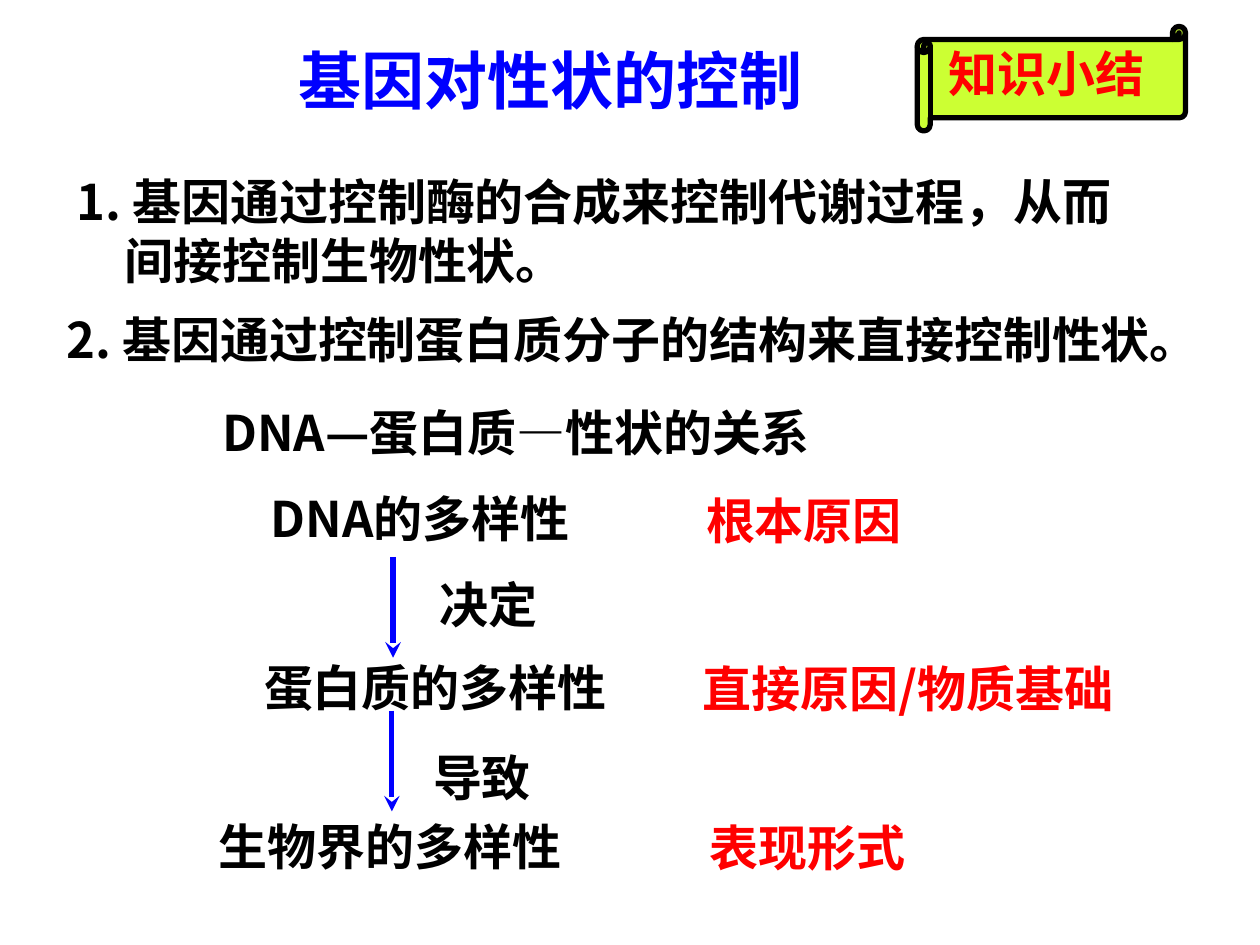
from dataclasses import dataclass
from lxml import etree
from pptx import Presentation
from pptx import util as u
from pptx.dml.color import RGBColor
from pptx.enum import shapes, text
from pptx.oxml.ns import qn


@dataclass(frozen=True)
class Theme:
    face: str = "Noto Sans CJK SC"
    ink: str = "000000"
    blue: str = "0000FF"
    red: str = "FF0000"
    lime: str = "CCFF33"
    head: int = 36
    body: int = 28
    rule: int = 3


theme = Theme()
deck = Presentation()
deck.slide_width, deck.slide_height = u.Inches(10), u.Inches(7.5)
COL = deck.slide_width / 100
ROW = deck.slide_height / 75


def paint(tone):
    return RGBColor.from_string(tone)


def place(box, x, y, w, h):
    left, top = box[:2]
    return [int(v) for v in ((left + x) * COL, (top + y) * ROW, w * COL, h * ROW)]


def write(host, spot, words, tone=theme.ink, size=theme.body, mid=True, hang=0):
    label = host.add_textbox(*spot)
    frame = label.text_frame
    frame.word_wrap = True
    para = frame.paragraphs[0]
    para.text = words
    para.alignment = text.PP_ALIGN.CENTER if mid else text.PP_ALIGN.LEFT
    if hang:
        props = para._p.get_or_add_pPr()
        props.set("marL", str(int(hang * COL)))
        props.set("indent", str(int(-hang * COL)))
    font = para.font
    font.name, font.size, font.bold = theme.face, u.Pt(size), True
    font.color.rgb = paint(tone)
    latin = para._p.pPr.find(qn("a:defRPr")).find(qn("a:latin"))
    east = etree.Element(qn("a:ea"), typeface=theme.face)
    latin.addnext(east)
    return frame


def arrow(host, box, x, y, drop):
    left, top, _, high = place(box, x, y, 0, drop)
    line = host.add_connector(shapes.MSO_CONNECTOR.STRAIGHT, left, top, left, top + high)
    line.line.color.rgb = paint(theme.blue)
    line.line.width = u.Pt(theme.rule)
    etree.SubElement(line.line._get_or_add_ln(), qn("a:tailEnd"), type="stealth")
    etree.SubElement(line._element.spPr, qn("a:effectLst"))


def title(host, box):
    write(host, place(box, 0, 0, *box[2:]), "基因对性状的控制", theme.blue, theme.head)


def banner(host, box):
    group = host.add_group_shape().shapes
    roll = group.add_shape(
        shapes.MSO_SHAPE.HORIZONTAL_SCROLL, *place(box, 0, 0, *box[2:]))
    roll.shadow.inherit = False
    roll.adjustments[0] = 0.125
    roll.fill.solid()
    roll.fill.fore_color.rgb = paint(theme.lime)
    roll.line.color.rgb = paint(theme.ink)
    roll.line.width = u.Pt(theme.rule)
    write(group, place(box, 1.5, 0.9, 22.7, 5.7), "知识小结", theme.red, mid=False)


def points(host, box):
    write(host, place(box, 0.8, 0, 86.6, 10.4),
          "1. 基因通过控制酶的合成来控制代谢过程，从而间接控制生物性状。",
          mid=False, hang=3.8)
    write(host, place(box, 0, 11, 91.4, 10.4),
          "2. 基因通过控制蛋白质分子的结构来直接控制性状。", mid=False)


def chain(host, box):
    frame = write(host, place(box, 0.8, 0, 55.9, 6.1), "DNA—蛋白质—性状的关系")
    frame.vertical_anchor = text.MSO_ANCHOR.MIDDLE
    stages = [
        (2.4, 7.1, "DNA的多样性", 39.5, 24.2, "根本原因"),
        (3.6, 20.5, "蛋白质的多样性", 38.6, 42.5, "直接原因/物质基础"),
        (0, 33.1, "生物界的多样性", 39.4, 25, "表现形式"),
    ]
    for x, y, stage, left, wide, cause in stages:
        write(host, place(box, x, y, 37.5, 5.1), stage)
        write(host, place(box, left, y + 0.1, wide, 5.5), cause, theme.red)
    links = [(19, 13, 18.7, 13.9, 15.8, "决定"), (18.9, 25.2, 19.7, 27.6, 12.7, "导致")]
    for x, y, left, top, wide, verb in links:
        arrow(host, box, x, y, 8)
        write(host, place(box, left, top, wide, 5.1), verb)


def main():
    host = deck.slides.add_slide(deck.slide_layouts[6]).shapes
    title(host, (20.9, 2.8, 45.5, 7))
    points(host, (4.3, 13.1, 91.4, 21.4))
    chain(host, (12.2, 31.2, 81.1, 38.6))
    banner(host, (72.8, 2.1, 21.3, 8.3))
    deck.save("out.pptx")


if __name__ == "__main__":
    main()
